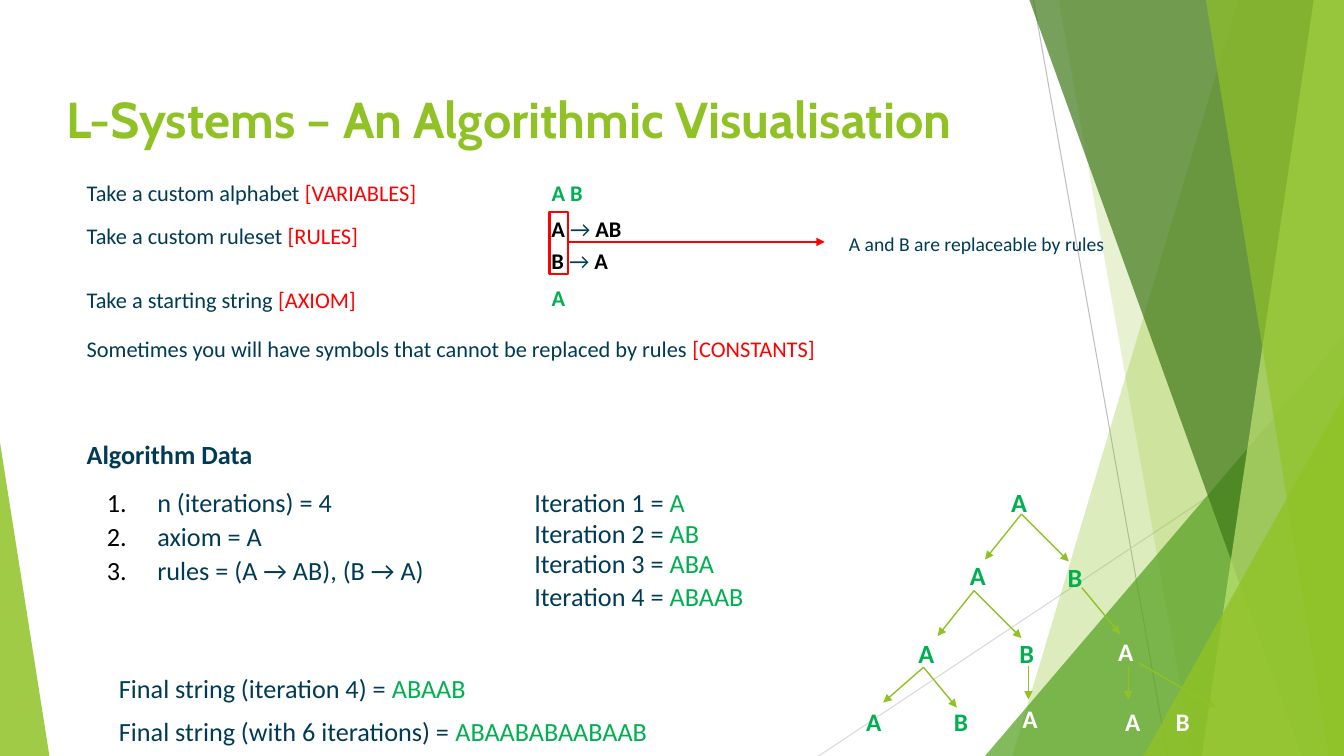
from pptx import Presentation
from pptx.dml.color import RGBColor
from pptx.enum.shapes import MSO_CONNECTOR, MSO_SHAPE
from pptx.enum.text import MSO_ANCHOR, MSO_AUTO_SIZE, PP_ALIGN
from pptx.oxml.ns import qn
from pptx.util import Inches, Pt
from lxml.etree import SubElement

COLOURS = {
    "lime": "90C226", "leaf": "54A021", "forest": "3F7819", "pale": "C0E474",
    "navy": "003B55", "green": "00B050", "red": "FF0000", "black": "000000",
    "white": "FFFFFF", "grey": "BFBFBF", "light": "D9D9D9",
}
FRAME = {"word_wrap": True, "auto_size": MSO_AUTO_SIZE.NONE}
FRAME.update({f"margin_{side}": Inches(0.13) for side in ("left", "top", "right", "bottom")})

deck = Presentation()
deck.slide_width, deck.slide_height = Inches(13.33), Inches(7.5)
page = deck.slides.add_slide(deck.slide_layouts[1])
title, steps = page.placeholders


def write(box, place, lines, size, font="Calibri"):
    """Place a box and fill it; each line is a list of (text, colour, bold)."""
    box.left, box.top, box.width, box.height = map(Inches, place)
    frame = box.text_frame
    for name, value in FRAME.items():
        setattr(frame, name, value)
    for index, spans in enumerate(lines):
        para = frame.add_paragraph() if index else frame.paragraphs[0]
        para.alignment = PP_ALIGN.LEFT
        para.space_before = Pt(0)
        for text, colour, bold in spans:
            span = para.add_run()
            span.text = text
            for name, value in {"name": font, "size": Pt(size), "bold": bold}.items():
                setattr(span.font, name, value)
            span.font.color.rgb = RGBColor.from_string(COLOURS[colour])
    return frame


def draw_line(start, end, colour, width, arrow=True):
    x1, y1, x2, y2 = map(Inches, start + end)
    line = page.shapes.add_connector(MSO_CONNECTOR.STRAIGHT, x1, y1, x2, y2)
    line.line.color.rgb = RGBColor.from_string(COLOURS[colour])
    line.line.width = Pt(width)
    properties = line._element.spPr
    if arrow:
        SubElement(properties.find(qn("a:ln")), qn("a:tailEnd"), type="triangle")
    SubElement(properties, qn("a:effectLst"))


# Background lines and translucent facets
draw_line((10.25, 0), (11.58, 7.5), "grey", 0.75, arrow=False)
draw_line((13.33, 4.03), (8.12, 7.5), "light", 0.75, arrow=False)

# Bands: top-left x, bottom-left x; triangles: left, top, width, apex
facets = [
    ("band", (12.28, 10.04), "lime", 30),
    ("band", (10.5, 11.83), "lime", 20),
    ("triangle", (9.77, 3.33, 3.56, 1), "leaf", 72),
    ("band", (10.21, 12.91), "forest", 70),
    ("band", (13.03, 11.92), "pale", 70),
    ("band", (11.96, 13.18), "lime", 65),
    ("triangle", (11.34, 3.93, 1.99, 1), "lime", 80),
    ("triangle", (0, 4.39, 0.49, 0), "lime", 85),
]
for kind, geometry, colour, opacity in facets:
    if kind == "band":
        top_x, bottom_x = geometry
        outline = page.shapes.build_freeform(Inches(top_x), Inches(0), scale=1.0)
        corners = [(13.33, 0), (13.33, 7.5), (bottom_x, 7.5)]
        outline.add_line_segments([(Inches(x), Inches(y)) for x, y in corners], close=True)
        facet = outline.convert_to_shape()
    else:
        left, top, width, apex = geometry
        facet = page.shapes.add_shape(
            MSO_SHAPE.ISOSCELES_TRIANGLE, Inches(left), Inches(top), Inches(width), Inches(7.5 - top))
        facet.adjustments[0] = apex
    facet.shadow.inherit = False
    facet.line.fill.background()
    facet.fill.solid()
    facet.fill.fore_color.rgb = RGBColor.from_string(COLOURS[colour])
    tint = facet._element.spPr.find(qn("a:solidFill"))[0]
    SubElement(tint, qn("a:alpha"), val=str(opacity * 1000))

# Title
heading = write(title, (0.53, 0.35, 10.36, 1.25),
                [[("L-Systems – An Algorithmic Visualisation", "lime", True)]], 36, "Cabin")
heading.vertical_anchor = MSO_ANCHOR.BOTTOM

# Single-line texts: left, top, width, size, spans
texts = [
    (5.34, 1.65, 0.75, 16, [("A B", "green", True)]),
    (5.34, 2.69, 0.75, 16, [("A", "green", True)]),
    (8.29, 2.17, 2.9, 14, [("A and B are replaceable by rules", "navy", False)]),
    (0.73, 4.22, 4, 18.7, [("Algorithm Data", "navy", True)]),
]
for top, text, term in [
    (1.65, "Take a custom alphabet ", "[VARIABLES]"),
    (2.07, "Take a custom ruleset ", "[RULES]"),
    (2.71, "Take a starting string ", "[AXIOM]"),
    (3.19, "Sometimes you will have symbols that cannot be replaced by rules ", "[CONSTANTS]"),
]:
    texts.append((0.73, top, 8.5, 16, [(text, "navy", False), (term, "red", False)]))
for top, symbol, result in [(2, "A", "AB"), (2.32, "B", "A")]:
    texts.append((5.34, top, 2, 16, [
        (f"{symbol} ", "black", True), ("→", "navy", False), (f" {result}", "black", True)]))
for top, label, result in [(6.54, "iteration 4", "ABAAB"), (6.97, "with 6 iterations", "ABAABABAABAAB")]:
    texts.append((1.05, top, 7, 18.7, [
        (f"Final string ({label}) = ", "navy", False), (result, "green", False)]))

# Tree labels
for left, top, symbol, size, colour in [
    (9.9, 4.69, "A", 18.7, "green"),
    (9.49, 5.42, "A", 18.7, "green"), (10.46, 5.44, "B", 18.7, "green"),
    (8.98, 6.19, "A", 18.7, "green"), (9.98, 6.19, "B", 18.7, "green"),
    (10.96, 6.18, "A", 18, "white"),
    (8.46, 6.88, "A", 18, "green"), (9.33, 6.88, "B", 18, "green"),
    (10.01, 6.85, "A", 18, "white"),
    (11.03, 6.88, "A", 18, "white"), (11.53, 6.88, "B", 18, "white"),
]:
    texts.append((left, top, 0.5, size, [(symbol, colour, True)]))

for left, top, width, size, spans in texts:
    box = page.shapes.add_textbox(0, 0, 0, 0)
    write(box, (left, top, width, 0.5), [spans], size)

# Numbered algorithm data
data = ["n (iterations) = 4", "axiom = A", "rules = (A → AB), (B → A)"]
numbered = write(steps, (0.93, 4.69, 4.2, 1.35), [[(text, "navy", False)] for text in data], 18.7)
for index, para in enumerate(numbered.paragraphs):
    para.space_before = Pt(2 if index else 0)
    properties = para._p.get_or_add_pPr()
    properties.set("marL", str(Inches(0.5)))
    properties.set("indent", str(-Inches(0.5)))
    bullet_colour = SubElement(properties, qn("a:buClr"))
    SubElement(bullet_colour, qn("a:srgbClr"), val=COLOURS["black"])
    SubElement(properties, qn("a:buFont"), typeface="Calibri")
    SubElement(properties, qn("a:buAutoNum"), type="arabicPeriod")

# Iteration results
results = ["A", "AB", "ABA", "ABAAB"]
box = page.shapes.add_textbox(0, 0, 0, 0)
iterations = write(box, (5.17, 4.71, 3.2, 1.5), [
    [(f"Iteration {number} = ", "navy", False), (result, "green", False)]
    for number, result in enumerate(results, 1)], 18.7)
for para in iterations.paragraphs:
    para.line_spacing = Pt(21.6)
iterations.paragraphs[-1].space_before = Pt(2.2)

# Tree branches
branches = [
    ((10.13, 5.1), [(9.77, 5.55), (10.6, 5.57)]),
    ((9.66, 5.86), [(9.3, 6.31), (10.13, 6.33)]),
    ((10.73, 5.83), [(11.11, 6.29)]),
    ((9.16, 6.62), [(8.76, 6.97), (9.49, 7.02)]),
    ((10.2, 6.61), [(10.2, 6.94)]),
    ((11.3, 6.58), [(12.06, 7.02)]),
    ((11.19, 6.61), [(11.19, 6.94)]),
]
for parent, children in branches:
    for child in children:
        draw_line(parent, child, "lime", 1)

# Callout around the replaceable symbols
callout = page.shapes.add_shape(
    MSO_SHAPE.RECTANGLE, Inches(5.45), Inches(2.1), Inches(0.18), Inches(0.62))
callout.shadow.inherit = False
callout.fill.background()
callout.line.color.rgb = RGBColor.from_string(COLOURS["red"])
callout.line.width = Pt(1.5)
draw_line((5.63, 2.4), (8.18, 2.4), "red", 1)

deck.save("out.pptx")
